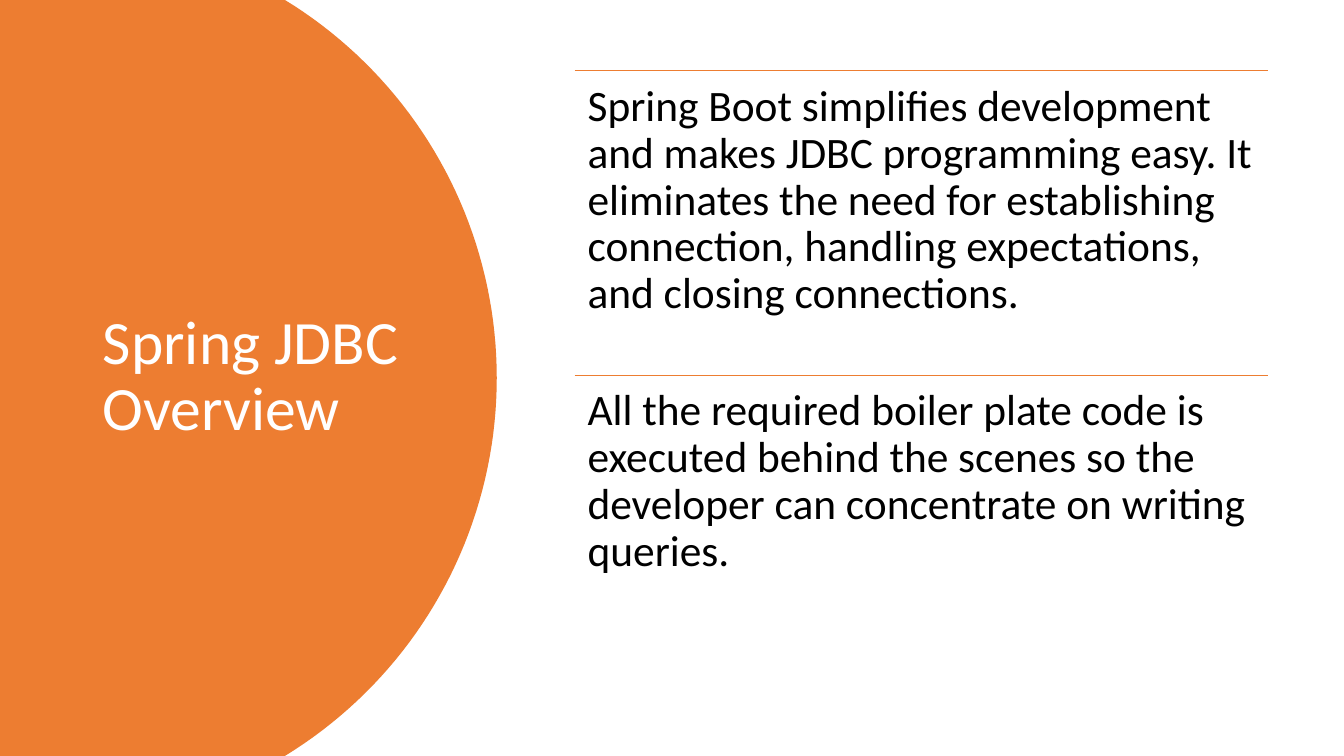
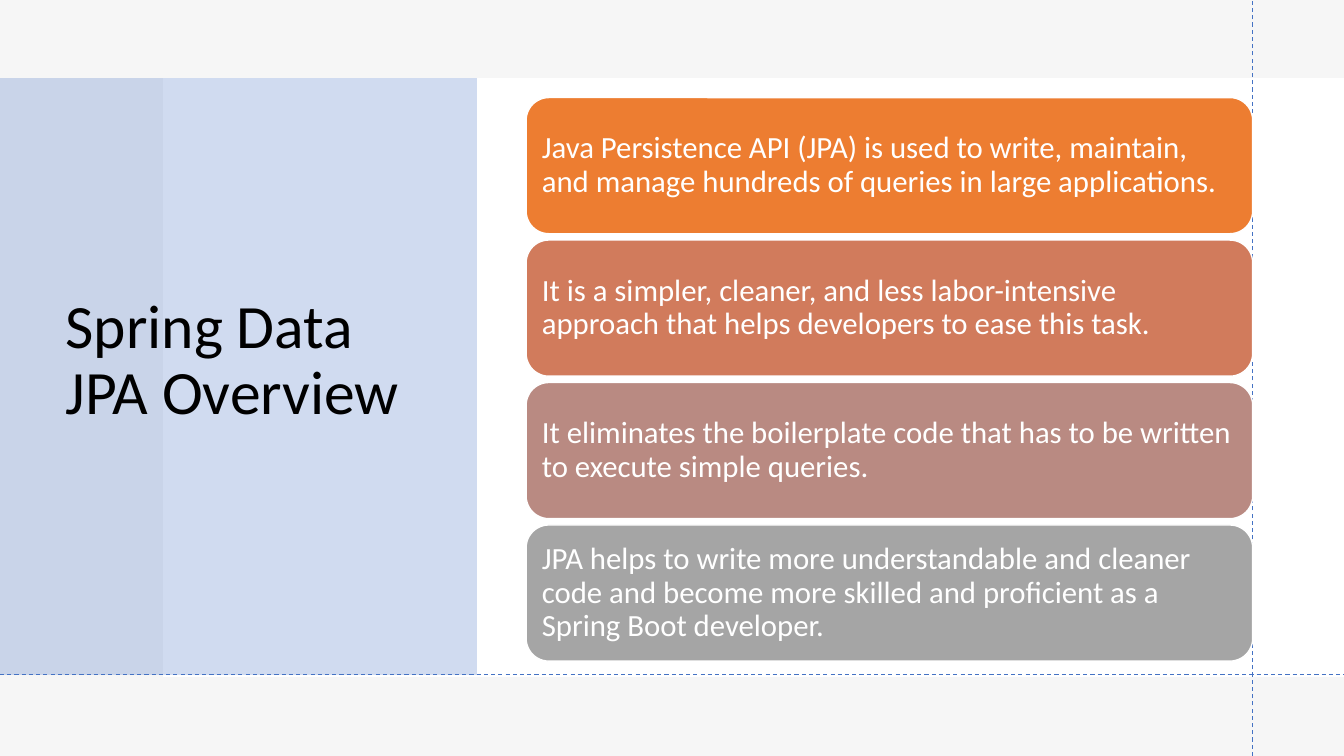
from math import atan2, cos, sin
from lxml.etree import SubElement
from pptx import Presentation
from pptx.dml.color import RGBColor
from pptx.enum.dml import MSO_LINE
from pptx.enum.shapes import MSO_CONNECTOR, MSO_SHAPE
from pptx.enum.text import MSO_ANCHOR, MSO_AUTO_SIZE, PP_ALIGN
from pptx.oxml.ns import qn
from pptx.util import Cm, Pt

# Content
JDBC = ("Spring JDBC Overview", [
    "Spring Boot simplifies development and makes JDBC programming easy. "
    "It eliminates the need for establishing connection, handling "
    "expectations, and closing connections.",
    "All the required boiler plate code is executed behind the scenes so "
    "the developer can concentrate on writing queries.",
])
WHITE = RGBColor(0xFF, 0xFF, 0xFF)
BLACK = RGBColor(0, 0, 0)
ORANGE = RGBColor(0xED, 0x7D, 0x31)
BRICK = RGBColor(0xD1, 0x7B, 0x5C)
ROSE = RGBColor(0xB9, 0x8A, 0x82)
GREY = RGBColor(0xA5, 0xA5, 0xA5)
BLUE = RGBColor(0x44, 0x72, 0xC4)
MIST = RGBColor(0xE7, 0xE6, 0xE6)
PALE = RGBColor(0xF7, 0xF6, 0xF6)
JPA = ("Spring Data JPA Overview", [
    ("Java Persistence API (JPA) is used to write, maintain, and manage "
     "hundreds of queries in large applications.", ORANGE),
    ("It is a simpler, cleaner, and less labor-intensive approach that "
     "helps developers to ease this task.", BRICK),
    ("It eliminates the boilerplate code that has to be written to execute "
     "simple queries.", ROSE),
    ("JPA helps to write more understandable and cleaner code and become "
     "more skilled and proficient as a Spring Boot developer.", GREY),
])

# Shared sizes, in centimetres
FONT = "Calibri"
WIDE, HIGH = 33.87, 19.05

deck = Presentation()
deck.slide_width, deck.slide_height = Cm(WIDE), Cm(HIGH)


def write(shape, text, size, color, anchor, inset=None):
    frame = shape.text_frame
    frame.word_wrap = True
    frame.auto_size = MSO_AUTO_SIZE.NONE
    frame.vertical_anchor = anchor
    if inset is not None:
        frame.margin_left = frame.margin_right = Cm(inset)
        frame.margin_top = frame.margin_bottom = Cm(inset)
    para = frame.paragraphs[0]
    para.alignment = PP_ALIGN.LEFT
    para.line_spacing = 0.9
    run = para.add_run()
    run.text = text
    run.font.name, run.font.size = FONT, Pt(size)
    run.font.color.rgb = color


def start(back):
    slide = deck.slides.add_slide(deck.layouts[5] if hasattr(deck, "layouts")
                                  else deck.slide_layouts[5])
    slide.background.fill.solid()
    slide.background.fill.fore_color.rgb = back
    return slide


def head(slide, text, color, box):
    title = slide.shapes.title
    title.left, title.top, title.width, title.height = map(Cm, box)
    write(title, text, 44, color, MSO_ANCHOR.MIDDLE)
    # Bring the title in front of the panels
    title.element.getparent().append(title.element)


def paint(shape, color, alpha=None):
    shape.shadow.inherit = False
    shape.fill.solid()
    shape.fill.fore_color.rgb = color
    shape.line.fill.background()
    if alpha:
        tint = shape.element.spPr.find(qn("a:solidFill"))[0]
        SubElement(tint, qn("a:alpha")).set("val", str(alpha * 1000))


def block(slide, kind, box, color, alpha=None):
    shape = slide.shapes.add_shape(kind, *map(Cm, box))
    paint(shape, color, alpha)
    return shape


def rule(slide, ends, color, width, dash=None):
    line = slide.shapes.add_connector(MSO_CONNECTOR.STRAIGHT, *map(Cm, ends))
    line.line.color.rgb, line.line.width = color, Pt(width)
    if dash:
        line.line.dash_style = dash
    SubElement(line.element.spPr, qn("a:effectLst"))


# Slide 1: round panel, ruled list
slide = start(WHITE)
EDGE, TIP, STEPS = 7.18, 12.52, 80
half, bulge = HIGH / 2, TIP - EDGE
radius = (half ** 2 + bulge ** 2) / (2 * bulge)
mid = TIP - radius
sweep = atan2(half, EDGE - mid)
turns = [sweep * (2 * i / STEPS - 1) for i in range(STEPS + 1)]
arc = [(Cm(mid + radius * cos(t)), Cm(half + radius * sin(t))) for t in turns]
path = slide.shapes.build_freeform(0, 0)
path.add_line_segments(arc + [(0, Cm(HIGH))], close=True)
paint(path.convert_to_shape(), ORANGE)

name, notes = JDBC
head(slide, name, WHITE, (2.34, 1.78, 8.2, 15.47))
LEFT, TOP, SPAN, PITCH = 14.48, 1.78, 17.47, 7.68
for i, note in enumerate(notes):
    y = TOP + i * PITCH
    rule(slide, (LEFT, y, LEFT + SPAN, y), ORANGE, 1)
    box = slide.shapes.add_textbox(*map(Cm, (LEFT, y, SPAN, PITCH)))
    write(box, note, 31, BLACK, MSO_ANCHOR.TOP, 0.33)

# Slide 2: layered panels, guides, cards
slide = start(PALE)
RECT = MSO_SHAPE.RECTANGLE
for box, color, alpha in [
    ((0, 0, WIDE, HIGH), WHITE, None),
    ((0, 0, WIDE, HIGH), MIST, 35),
    ((4.11, 1.97, WIDE - 4.11, 15.09), WHITE, None),
    ((0, 1.97, 12.02, 15.04), BLUE, 25),
]:
    block(slide, RECT, box, color, alpha)

name, cards = JPA
head(slide, name, BLACK, (1.4, 1.88, 10.03, 14.45))
for ends in [(31.57, HIGH, 31.57, 0), (0, 16.99, WIDE, 16.99)]:
    rule(slide, ends, BLUE, 0.75, MSO_LINE.DASH)

LEFT, TOP, SPAN, TALL, PITCH = 13.26, 2.46, 18.31, 3.43, 3.59
for i, (text, color) in enumerate(cards):
    box = (LEFT, TOP + i * PITCH, SPAN, TALL)
    card = block(slide, MSO_SHAPE.ROUNDED_RECTANGLE, box, color)
    card.line.color.rgb, card.line.width = WHITE, Pt(1)
    write(card, text, 22, WHITE, MSO_ANCHOR.MIDDLE, 0.23)

deck.save("out.pptx")
